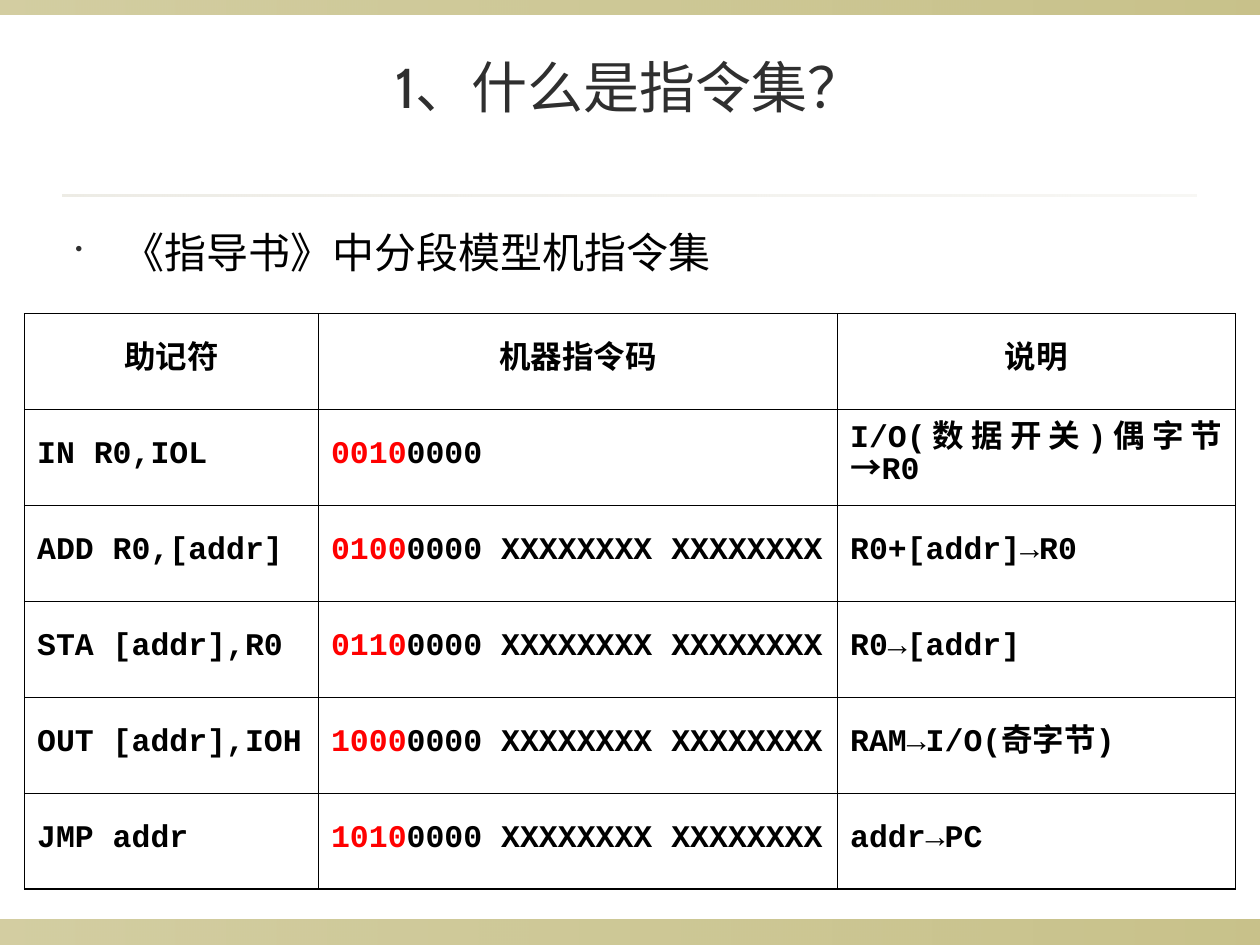
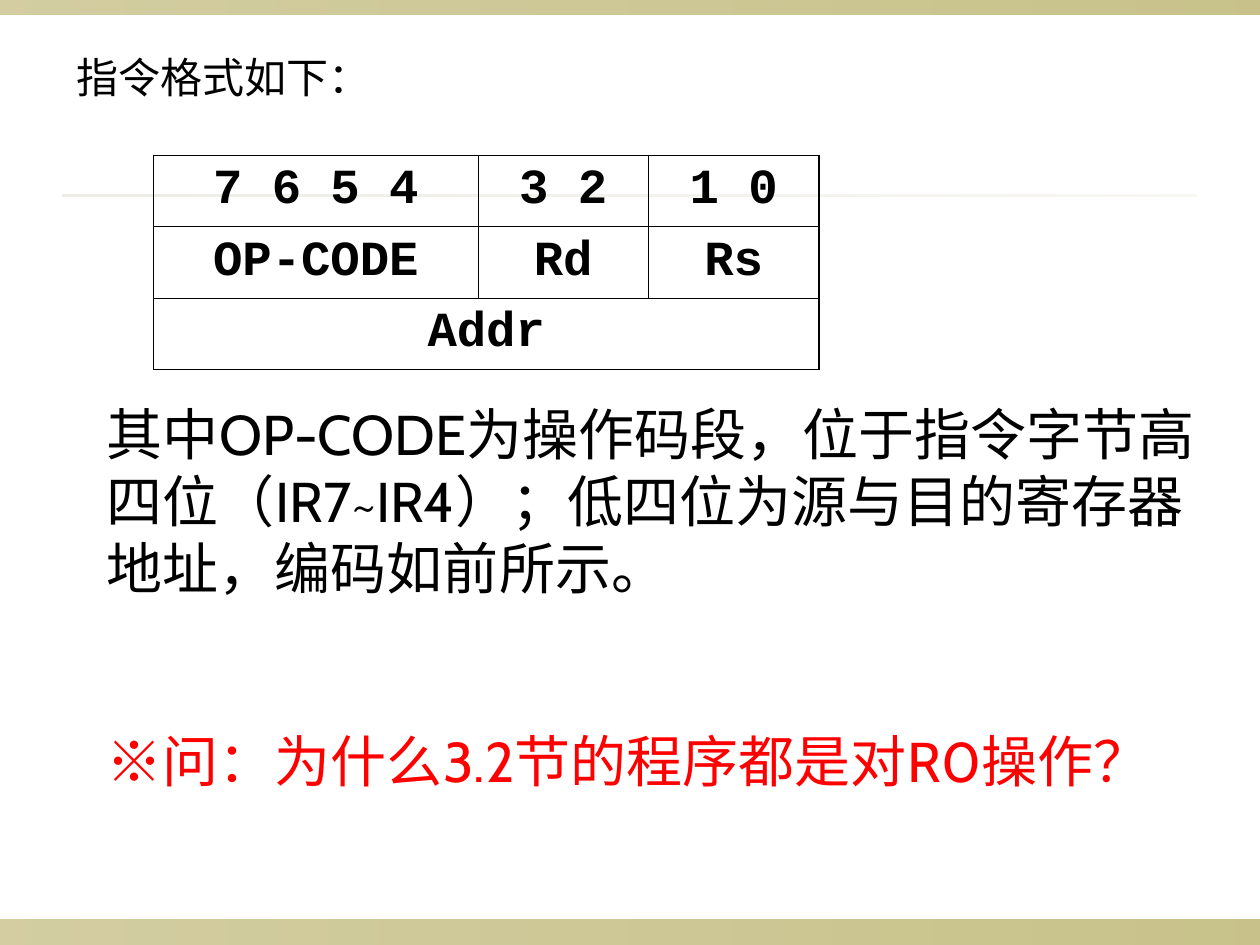
from lxml.etree import SubElement
from pptx import Presentation
from pptx.dml.color import RGBColor
from pptx.enum.lang import MSO_LANGUAGE_ID
from pptx.enum.shapes import MSO_SHAPE
from pptx.enum.text import MSO_ANCHOR, PP_ALIGN
from pptx.oxml import parse_xml
from pptx.oxml.ns import nsdecls, qn
from pptx.util import Pt

BLACK = RGBColor(0x00, 0x00, 0x00)
RED = RGBColor(0xFF, 0x00, 0x00)
TITLE_GREY = RGBColor(0x2F, 0x2F, 0x2F)
OLIVE = RGBColor(0x91, 0x84, 0x15)
PALE = RGBColor(0xDC, 0xD9, 0xCC)

SLIDE_WIDTH, SLIDE_HEIGHT = 720, 540
OUTER_BORDER, INNER_BORDER = 0.75, 0.45
HANGING = 27

# left, top, width, height, colour, opacity at the left and right ends
BANDS = [
    (0, 525.6, SLIDE_WIDTH, 14.4, OLIVE, (40, 50)),
    (0, 0, SLIDE_WIDTH, 8.6, OLIVE, (40, 50)),
    (36, 110.9, 648, 1.4, PALE, (50, 20)),
]

TITLE = "1、什么是指令集？"
SUBTITLE = "《指导书》中分段模型机指令集"
HEADINGS = ["助记符", "机器指令码", "说明"]
ADDRESS_BYTES = " XXXXXXXX XXXXXXXX"
# mnemonic, operation code, rest of the machine code, meaning
INSTRUCTIONS = [
    ("IN R0,IOL", "0010", "0000", "I/O(数据开关)偶字节→R0"),
    ("ADD R0,[addr]", "0100", "0000" + ADDRESS_BYTES, "R0+[addr]→R0"),
    ("STA [addr],R0", "0110", "0000" + ADDRESS_BYTES, "R0→[addr]"),
    ("OUT [addr],IOH", "1000", "0000" + ADDRESS_BYTES, "RAM→I/O(奇字节)"),
    ("JMP addr", "1010", "0000" + ADDRESS_BYTES, "addr→PC"),
]

FORMAT_INTRO = "指令格式如下："
FORMAT_ROWS = [
    ["7 6 5 4", "3 2", "1 0"],
    ["OP-CODE", "Rd", "Rs"],
    ["Addr", "", ""],
]
EXPLANATION = (
    "其中OP-CODE为操作码段，位于指令字节高四位（IR7~IR4）；"
    "低四位为源与目的寄存器地址，编码如前所示。"
)
QUESTION = "※问：为什么3.2节的程序都是对R0操作？"

TITLE_FONT = {"name": "Cabin", "size": Pt(32)}
BODY_FONT = {"name": "Cabin", "size": Pt(24)}
CODE_FONT = {"name": "Courier New", "size": Pt(18), "bold": True}
FIELD_FONT = {"name": "Courier New", "size": Pt(28), "bold": True}


def set_attributes(target, values):
    for name, value in values.items():
        setattr(target, name, value)


def write(frame, pieces, font, **paragraph_format):
    """Fill the first paragraph with (text, colour) pieces."""
    paragraph = frame.paragraphs[0]
    set_attributes(paragraph, paragraph_format)
    for text, colour in pieces:
        run = paragraph.add_run()
        run.text = text
        set_attributes(run.font, font)
        run.font.language_id = MSO_LANGUAGE_ID.SIMPLIFIED_CHINESE
        run.font.color.rgb = colour
    return paragraph


def add_text(slide, box, text, font, colour=BLACK, anchor=MSO_ANCHOR.TOP,
             hanging=0, **paragraph_format):
    frame = slide.shapes.add_textbox(*map(Pt, box)).text_frame
    set_attributes(frame, {"word_wrap": True, "vertical_anchor": anchor})
    paragraph = write(frame, [(text, colour)], font, **paragraph_format)
    if hanging:
        properties = paragraph._p.get_or_add_pPr()
        properties.set("marL", str(Pt(hanging)))
        properties.set("indent", str(-Pt(hanging)))
    return paragraph


def add_bullet(paragraph, colour, percent):
    properties = paragraph._p.get_or_add_pPr()
    bullet_colour = SubElement(properties, qn("a:buClr"))
    SubElement(bullet_colour, qn("a:srgbClr"), val=str(colour))
    SubElement(properties, qn("a:buSzPct"), val=str(percent * 1000))
    SubElement(properties, qn("a:buChar"), char="•")


def add_band(slide, left, top, width, height, colour, opacities):
    band = slide.shapes.add_shape(
        MSO_SHAPE.RECTANGLE, *map(Pt, (left, top, width, height)))
    band.shadow.inherit = False
    band.line.fill.background()
    band.fill.gradient()
    band.fill.gradient_angle = 0
    for stop in band.fill.gradient_stops:
        stop.color.rgb = colour
    for tint, opacity in zip(band.element.iter(qn("a:srgbClr")), opacities):
        SubElement(tint, qn("a:alpha"), val=str(opacity * 1000))


def add_slide(presentation):
    slide = presentation.slides.add_slide(presentation.slide_layouts[6])
    for band in BANDS:
        add_band(slide, *band)
    return slide


def set_borders(cell, outer_sides):
    properties = cell._tc.get_or_add_tcPr()
    for position, (side, is_outer) in enumerate(outer_sides.items()):
        width = Pt(OUTER_BORDER if is_outer else INNER_BORDER)
        properties.insert(position, parse_xml(
            f'<a:ln{side} {nsdecls("a")} w="{width}"><a:solidFill>'
            f'<a:srgbClr val="{BLACK}"/></a:solidFill></a:ln{side}>'))


def add_grid(slide, left, top, column_widths, row_height, row_count):
    """Add an unfilled table with all rows of one height."""
    table = slide.shapes.add_table(
        row_count, len(column_widths), Pt(left), Pt(top),
        Pt(sum(column_widths)), Pt(row_height * row_count)).table
    set_attributes(table, {"first_row": False, "horz_banding": False})
    for column, width in zip(table.columns, column_widths):
        column.width = Pt(width)
    for row in table.rows:
        row.height = Pt(row_height)
    return table


def fill_grid(table, rows, font, alignments, **paragraph_format):
    last_row, last_column = len(table.rows) - 1, len(table.columns) - 1
    for row, (contents, alignment) in enumerate(zip(rows, alignments)):
        for column, content in enumerate(contents):
            cell = table.cell(row, column)
            if cell.is_spanned:
                continue
            cell.vertical_anchor = MSO_ANCHOR.MIDDLE
            cell.fill.background()
            span = cell.span_width if cell.is_merge_origin else 1
            set_borders(cell, {
                "L": column == 0,
                "R": column + span - 1 == last_column,
                "T": row == 0,
                "B": row == last_row,
            })
            pieces = [(content, BLACK)] if isinstance(content, str) else content
            write(cell.text_frame, pieces, font, alignment=alignment,
                  **paragraph_format)


def build_instruction_set(presentation):
    slide = add_slide(presentation)
    add_text(slide, (36, 21.6, 648, 55.4), TITLE, TITLE_FONT, TITLE_GREY,
             MSO_ANCHOR.MIDDLE, alignment=PP_ALIGN.CENTER)
    subtitle = add_text(slide, (36, 126, 648, 41.8), SUBTITLE, BODY_FONT,
                        hanging=HANGING, space_before=Pt(6))
    add_bullet(subtitle, TITLE_GREY, 50)

    rows = [HEADINGS] + [
        [mnemonic, [(operation, RED), (rest, BLACK)], meaning]
        for mnemonic, operation, rest, meaning in INSTRUCTIONS
    ]
    table = add_grid(slide, 14, 179.2, [168, 296.6, 227.2], 54.8, len(rows))
    alignments = [PP_ALIGN.CENTER] + [PP_ALIGN.JUSTIFY] * len(INSTRUCTIONS)
    fill_grid(table, rows, CODE_FONT, alignments, line_spacing=Pt(18.2))


def build_instruction_format(presentation):
    slide = add_slide(presentation)
    add_text(slide, (36.7, 25.9, 648, 51), FORMAT_INTRO, BODY_FONT,
             hanging=HANGING, space_before=Pt(6))

    table = add_grid(slide, 87.8, 88.6, [185.4, 97.4, 97.4], 33.6,
                     len(FORMAT_ROWS))
    table.cell(2, 0).merge(table.cell(2, 2))
    fill_grid(table, FORMAT_ROWS, FIELD_FONT,
              [PP_ALIGN.CENTER] * len(FORMAT_ROWS))

    add_text(slide, (54, 224.6, 648, 153.4), EXPLANATION, TITLE_FONT)
    add_text(slide, (54, 411.8, 648, 51), QUESTION, TITLE_FONT, RED,
             hanging=HANGING, space_before=Pt(8))


def main():
    presentation = Presentation()
    presentation.slide_width = Pt(SLIDE_WIDTH)
    presentation.slide_height = Pt(SLIDE_HEIGHT)
    build_instruction_set(presentation)
    build_instruction_format(presentation)
    presentation.save("out.pptx")


if __name__ == "__main__":
    main()
